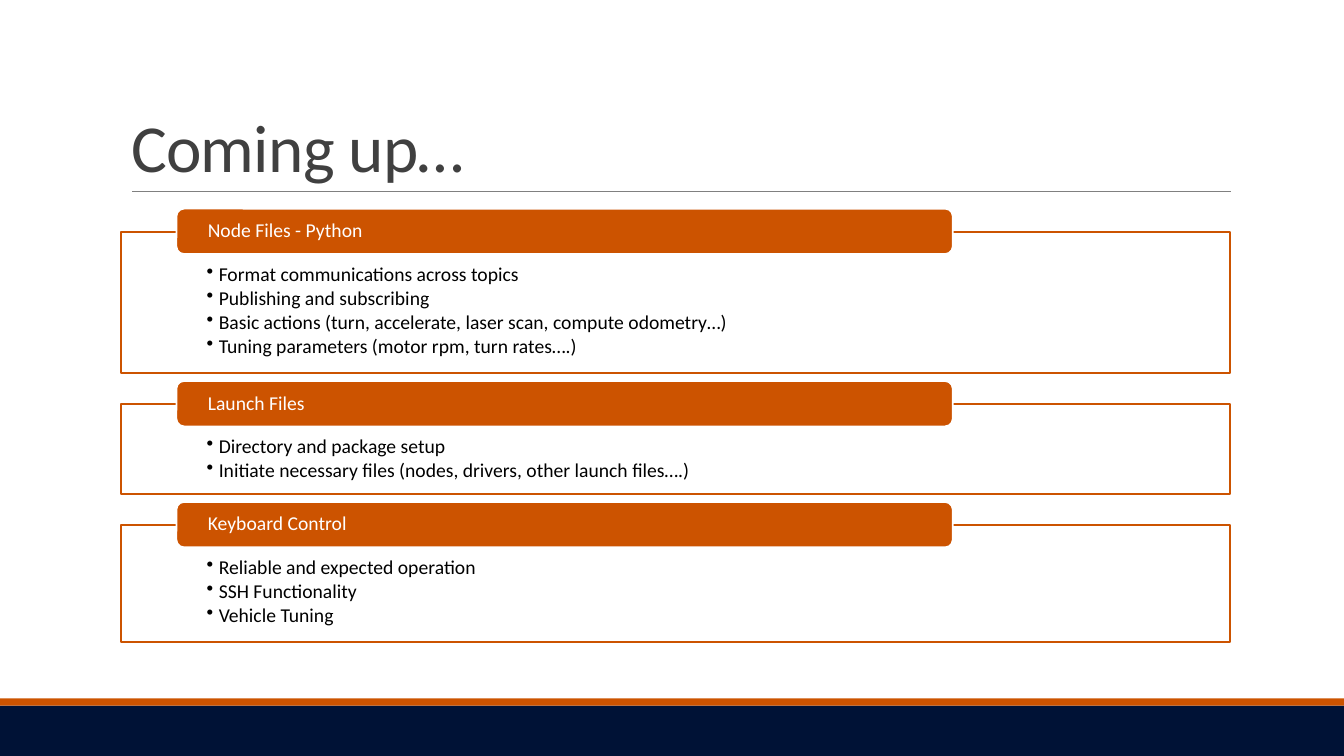
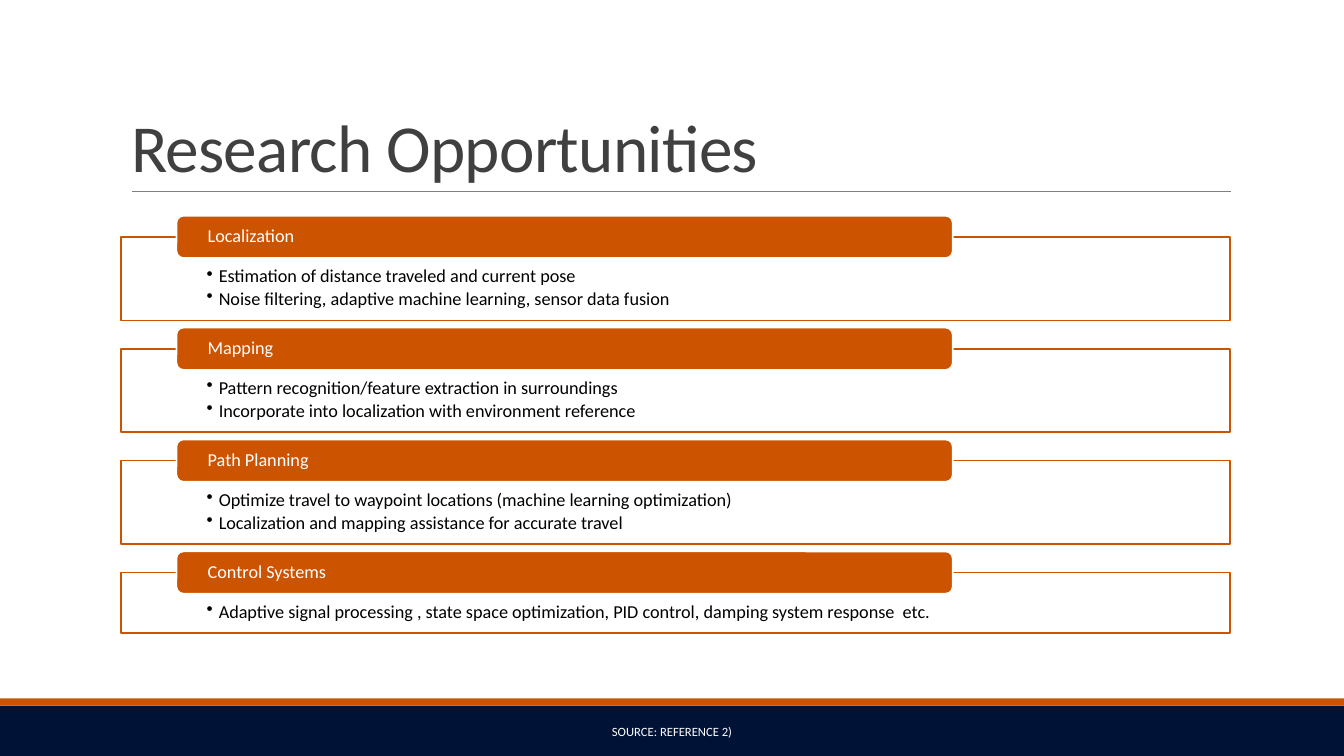
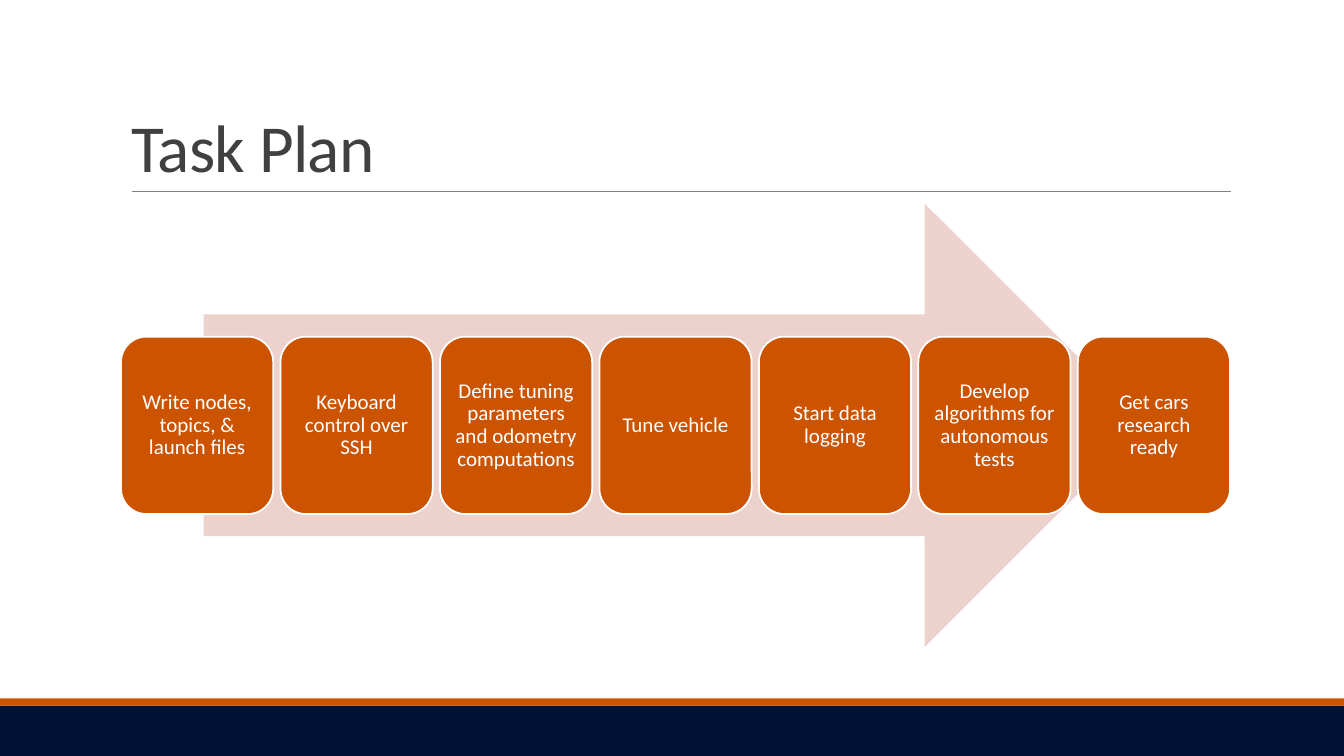
from lxml.etree import SubElement
from pptx import Presentation
from pptx.dml.color import RGBColor
from pptx.enum.shapes import MSO_CONNECTOR, MSO_SHAPE
from pptx.enum.text import MSO_ANCHOR, MSO_AUTO_SIZE, PP_ALIGN
from pptx.oxml.ns import qn
from pptx.util import Inches, Pt

ORANGE, NAVY, WHITE, BLACK = "CC5300", "001236", "FFFFFF", "000000"
TITLE_GREY, RULE_GREY, ARROW_PINK = "404040", "808080", "ECD1CC"
LEFT, WIDTH = 1.2, 11


def rgb(value):
    return RGBColor.from_string(value)


class Deck:
    """Holds the shared style and the current slide."""

    font = "Calibri"

    def __init__(self):
        self.prs = Presentation()
        self.prs.slide_width = Inches(13.33)
        self.prs.slide_height = Inches(7.5)
        self.s = None

    def slide(self, title):
        self.s = self.prs.slides.add_slide(self.prs.slide_layouts[5])
        # Bottom bands and title rule
        self.shape(MSO_SHAPE.RECTANGLE, 0, 7, 13.33, 0.5, NAVY)
        self.shape(MSO_SHAPE.RECTANGLE, 0, 6.93, 13.33, 0.07, ORANGE)
        self.rule(1.31, 1.9, 12.21)
        # Title
        sp = self.s.shapes.title
        sp.left, sp.top = Inches(LEFT), Inches(0.31)
        sp.width, sp.height = Inches(WIDTH), Inches(1.59)
        tf = sp.text_frame
        tf.auto_size = MSO_AUTO_SIZE.NONE
        tf.vertical_anchor = MSO_ANCHOR.BOTTOM
        p = tf.paragraphs[0]
        p.alignment, p.line_spacing = PP_ALIGN.LEFT, 0.85
        r = self.run(p, title, 48, TITLE_GREY)
        r.font._element.set("spc", "-50")

    def rule(self, x1, y, x2):
        line = self.s.shapes.add_connector(
            MSO_CONNECTOR.STRAIGHT, Inches(x1), Inches(y), Inches(x2), Inches(y))
        line.line.color.rgb = rgb(RULE_GREY)
        line.line.width = Pt(0.5)
        SubElement(line._element.spPr, qn("a:effectLst"))

    def shape(self, kind, x, y, w, h, fill, line=None, opacity=None):
        sp = self.s.shapes.add_shape(kind, Inches(x), Inches(y), Inches(w), Inches(h))
        sp.shadow.inherit = False
        sp.fill.solid()
        sp.fill.fore_color.rgb = rgb(fill)
        if opacity:
            color = sp._element.spPr.find(".//" + qn("a:srgbClr"))
            SubElement(color, qn("a:alpha")).set("val", str(opacity * 1000))
        if line:
            sp.line.color.rgb = rgb(line)
            sp.line.width = Pt(1.25)
        else:
            sp.line.fill.background()
        return sp

    def run(self, p, text, size, color):
        r = p.add_run()
        r.text = text
        r.font.name, r.font.size = self.font, Pt(size)
        r.font.color.rgb = rgb(color)
        return r

    def text(self, sp, lines, size, color, align=PP_ALIGN.LEFT,
             anchor=MSO_ANCHOR.MIDDLE, insets=(0, 0, 0, 0), spacing=0.9, bullet=False):
        tf = sp.text_frame
        tf.word_wrap = True
        tf.vertical_anchor = anchor
        tf.margin_left, tf.margin_top, tf.margin_right, tf.margin_bottom = map(Inches, insets)
        for i, line in enumerate(lines):
            p = tf.add_paragraph() if i else tf.paragraphs[0]
            p.alignment, p.line_spacing = align, spacing
            if bullet:
                p.space_after = Pt(round(0.15 * size, 2))
                pPr = p._p.get_or_add_pPr()
                pPr.set("marL", str(Inches(0.12)))
                pPr.set("indent", str(-Inches(0.12)))
                SubElement(pPr, qn("a:buChar")).set("char", "•")
            self.run(p, line, size, color)

    def sections(self, sections, top, label_h, drop, gap, size, insets):
        """Stack outlined panels, each with a label over its top edge."""
        for label, height, items in sections:
            panel = self.shape(MSO_SHAPE.RECTANGLE, LEFT, top + drop, WIDTH, height,
                               WHITE, ORANGE, opacity=90)
            self.text(panel, items, size, BLACK, anchor=MSO_ANCHOR.TOP,
                      insets=insets, bullet=True)
            tab = self.shape(MSO_SHAPE.ROUNDED_RECTANGLE, 1.75, top, 7.7, label_h,
                             ORANGE, WHITE)
            self.text(tab, [label], size, WHITE, insets=(0.29, 0, 0.29, 0))
            top += drop + height + gap

    def steps(self, labels, top, w, h):
        """Spread step boxes evenly over the content width."""
        pitch = (WIDTH - w) / (len(labels) - 1)
        for i, label in enumerate(labels):
            box = self.shape(MSO_SHAPE.ROUNDED_RECTANGLE, LEFT + i * pitch, top, w, h,
                             ORANGE, WHITE)
            self.text(box, [label], 15, WHITE, PP_ALIGN.CENTER, insets=(0.06,) * 4)

    def footer(self, text):
        sp = self.s.shapes.add_textbox(Inches(4.03), Inches(7.06), Inches(5.27), Inches(0.4))
        self.text(sp, [text], 9, WHITE, PP_ALIGN.CENTER,
                  insets=(0.1, 0.05, 0.1, 0.05), spacing=1.0)


def main():
    deck = Deck()

    # Upcoming work
    deck.slide("Coming up…")
    deck.sections([
        ("Node Files - Python", 1.4, [
            "Format communications across topics",
            "Publishing and subscribing",
            "Basic actions (turn, accelerate, laser scan, compute odometry…)",
            "Tuning parameters (motor rpm, turn rates….)"]),
        ("Launch Files", 0.89, [
            "Directory and package setup",
            "Initiate necessary files (nodes, drivers, other launch files….)"]),
        ("Keyboard Control", 1.16, [
            "Reliable and expected operation",
            "SSH Functionality",
            "Vehicle Tuning"]),
    ], top=2.07, label_h=0.45, drop=0.23, gap=0.08, size=14, insets=(0.85, 0.32, 0.85, 0.11))

    # Research topics
    deck.slide("Research Opportunities")
    deck.sections([
        ("Localization", 0.83, [
            "Estimation of distance traveled and current pose",
            "Noise filtering, adaptive machine learning, sensor data fusion"]),
        ("Mapping", 0.83, [
            "Pattern recognition/feature extraction in surroundings",
            "Incorporate into localization with environment reference"]),
        ("Path Planning", 0.83, [
            "Optimize travel to waypoint locations (machine learning optimization)",
            "Localization and mapping assistance for accurate travel"]),
        ("Control Systems", 0.6, [
            "Adaptive signal processing , state space optimization, PID control, "
            "damping system response  etc."]),
    ], top=2.14, label_h=0.42, drop=0.21, gap=0.07, size=13, insets=(0.85, 0.3, 0.85, 0.1))
    deck.footer("SOURCE: REFERENCE 2)")

    # Task sequence
    deck.slide("Task Plan")
    deck.shape(MSO_SHAPE.RIGHT_ARROW, 2.02, 2.02, 9.35, 4.4, ARROW_PINK)
    deck.steps([
        "Write nodes, topics, & launch files",
        "Keyboard control over SSH",
        "Define tuning parameters and odometry computations",
        "Tune vehicle",
        "Start data logging",
        "Develop algorithms for autonomous tests",
        "Get cars research ready",
    ], top=3.34, w=1.51, h=1.76)

    deck.prs.save("out.pptx")


if __name__ == "__main__":
    main()
